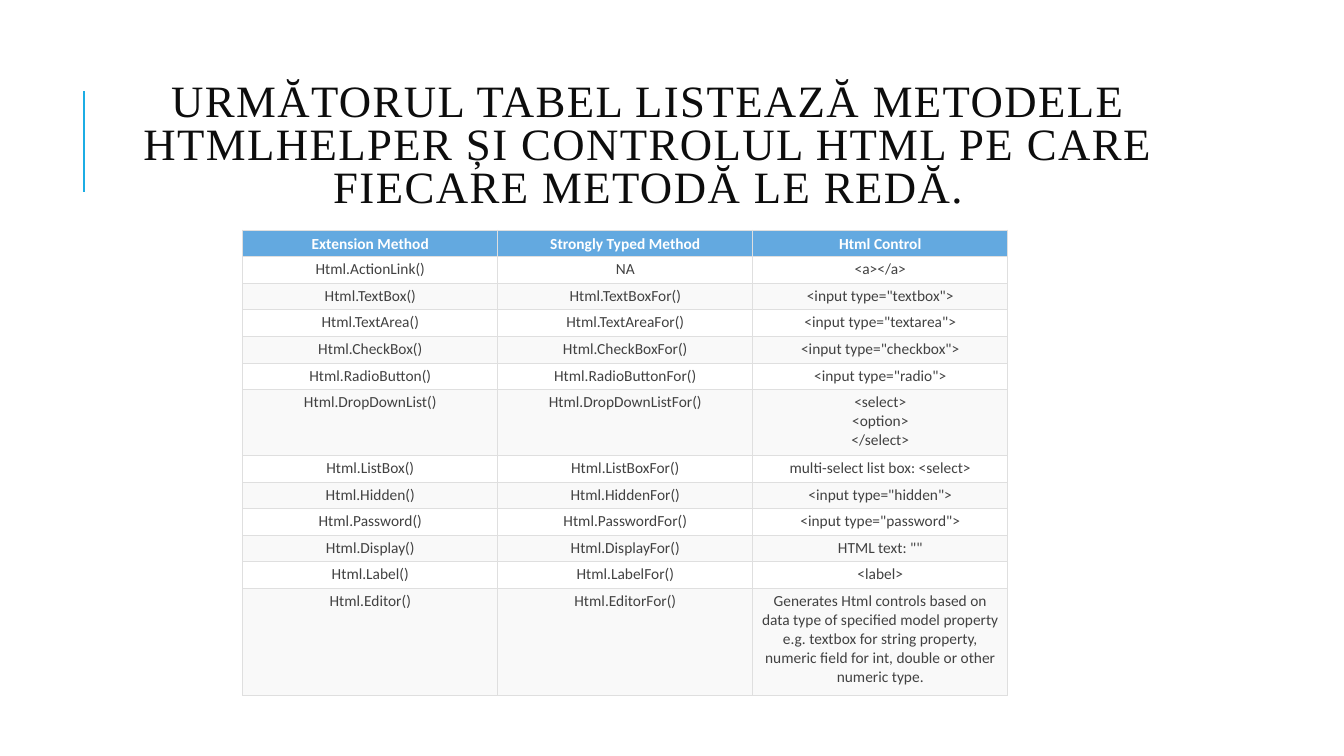
from lxml.etree import SubElement
from pptx import Presentation
from pptx.dml.color import RGBColor
from pptx.enum.shapes import MSO_CONNECTOR
from pptx.enum.text import MSO_ANCHOR as Anchor, PP_ALIGN as Align
from pptx.oxml.ns import qn
from pptx.util import Cm, Pt

ACCENT = RGBColor(0x1C, 0xAD, 0xE4)
INK = RGBColor(0x0D, 0x0D, 0x0D)
HEADER_BLUE = RGBColor(0x63, 0xA9, 0xE0)
WHITE = RGBColor(0xFF, 0xFF, 0xFF)
BAND_GREY = RGBColor(0xF9, 0xF9, 0xF9)
CELL_TEXT = RGBColor(0x41, 0x41, 0x41)
BORDER_GREY = RGBColor(0xDF, 0xDF, 0xDF)

HEADING = ("URMĂTORUL TABEL LISTEAZĂ METODELE HTMLHELPER ȘI CONTROLUL HTML "
           "PE CARE FIECARE METODĂ LE REDĂ.")
HEADERS = ("Extension Method", "Strongly Typed Method", "Html Control")
CONTROLS = {
    "ActionLink": "<a></a>",
    "TextBox": '<input type="textbox">',
    "TextArea": '<input type="textarea">',
    "CheckBox": '<input type="checkbox">',
    "RadioButton": '<input type="radio">',
    "DropDownList": "<select>\v<option>\v</select>",
    "ListBox": "multi-select list box: <select>",
    "Hidden": '<input type="hidden">',
    "Password": '<input type="password">',
    "Display": 'HTML text: ""',
    "Label": "<label>",
    "Editor": "Generates Html controls based on data type of specified model "
              "property e.g. textbox for string property, numeric field for "
              "int, double or other numeric type.",
}
UNTYPED = {"ActionLink"}
ROW_HEIGHT = 0.67
TALL_ROWS = {"DropDownList": 1.66, "Editor": 2.7}


def style_paragraph(paragraph, font_name, size, color, bold=False):
    """Centre a paragraph and set its font."""
    paragraph.alignment = Align.CENTER
    font = paragraph.font
    font.name, font.size, font.bold = font_name, Pt(size), bold
    font.color.rgb = color


def add_heading(slide, left, top, width, height):
    """Place the accent rule and the spaced heading in the given box."""
    rule_x = left - Cm(0.73)
    rule = slide.shapes.add_connector(
        MSO_CONNECTOR.STRAIGHT, rule_x, top + Cm(3.2), rule_x, top + Cm(0.66))
    rule.line.color.rgb = ACCENT
    rule.line.width = Pt(1.5)
    SubElement(rule._element.spPr, qn("a:effectLst"))

    heading = slide.shapes.add_textbox(left, top, width, height).text_frame
    heading.word_wrap = True
    heading.vertical_anchor = Anchor.MIDDLE
    heading.text = HEADING
    paragraph = heading.paragraphs[0]
    paragraph.line_spacing = 0.8
    style_paragraph(paragraph, "Times New Roman", 32, INK)
    paragraph.runs[0].font._element.set("spc", "100")


def add_borders(cell):
    """Draw a thin grey line on all four sides of a cell."""
    properties = cell._tc.get_or_add_tcPr()
    for side in ("lnL", "lnR", "lnT", "lnB"):
        border = SubElement(properties, qn(f"a:{side}"), w=str(Pt(0.75)))
        fill = SubElement(border, qn("a:solidFill"))
        SubElement(fill, qn("a:srgbClr"), val=str(BORDER_GREY))


def fill_cell(cell, text, row_index):
    """Write and style one cell according to its row."""
    is_header = row_index == 0
    add_borders(cell)
    cell.fill.solid()
    band = WHITE if row_index % 2 else BAND_GREY
    cell.fill.fore_color.rgb = HEADER_BLUE if is_header else band
    cell.margin_left = cell.margin_right = Cm(0.16)
    cell.margin_top = cell.margin_bottom = Cm(0.08)
    cell.vertical_anchor = Anchor.BOTTOM if is_header else Anchor.TOP
    cell.text = text
    style_paragraph(cell.text_frame.paragraphs[0], "Calibri", 11,
                    WHITE if is_header else CELL_TEXT, is_header)


def add_methods_table(slide, left, top, width):
    """Place the table of helper methods at the given width."""
    rows = [HEADERS]
    heights = [ROW_HEIGHT]
    for method, control in CONTROLS.items():
        typed = "NA" if method in UNTYPED else f"Html.{method}For()"
        rows.append((f"Html.{method}()", typed, control))
        heights.append(TALL_ROWS.get(method, ROW_HEIGHT))

    methods = slide.shapes.add_table(
        len(rows), len(HEADERS), left, top, width, Cm(sum(heights))).table
    for row_index, (texts, height) in enumerate(zip(rows, heights)):
        methods.rows[row_index].height = Cm(height)
        for column_index, text in enumerate(texts):
            fill_cell(methods.cell(row_index, column_index), text, row_index)


def main():
    """Build and save the slide."""
    deck = Presentation()
    deck.slide_width, deck.slide_height = Cm(33.87), Cm(19.05)
    slide = deck.slides.add_slide(deck.slide_layouts[6])
    add_heading(slide, Cm(2.84), Cm(1.63), Cm(27), Cm(4.17))
    add_methods_table(slide, Cm(6.12), Cm(5.8), Cm(19.28))
    deck.save("out.pptx")


main()
